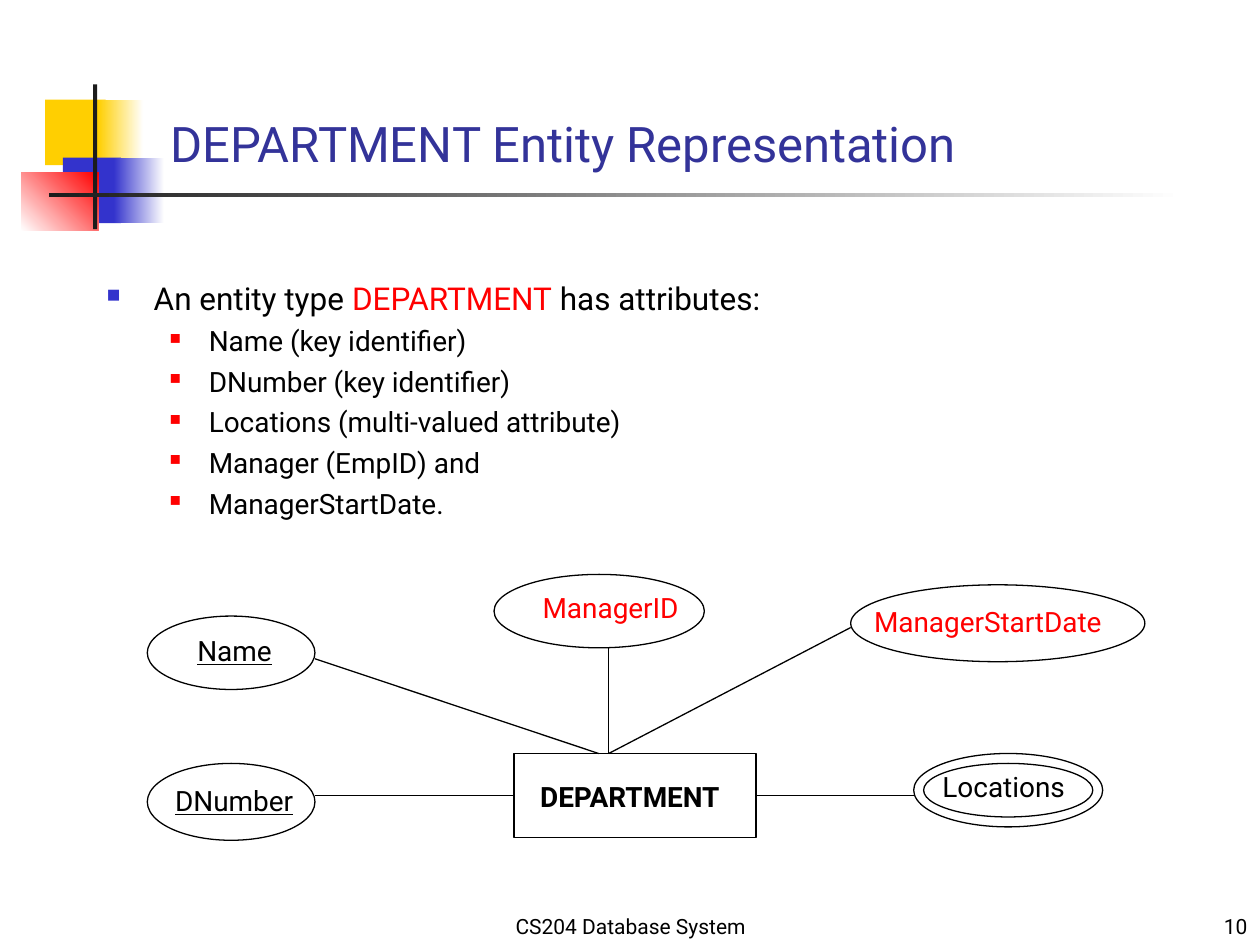
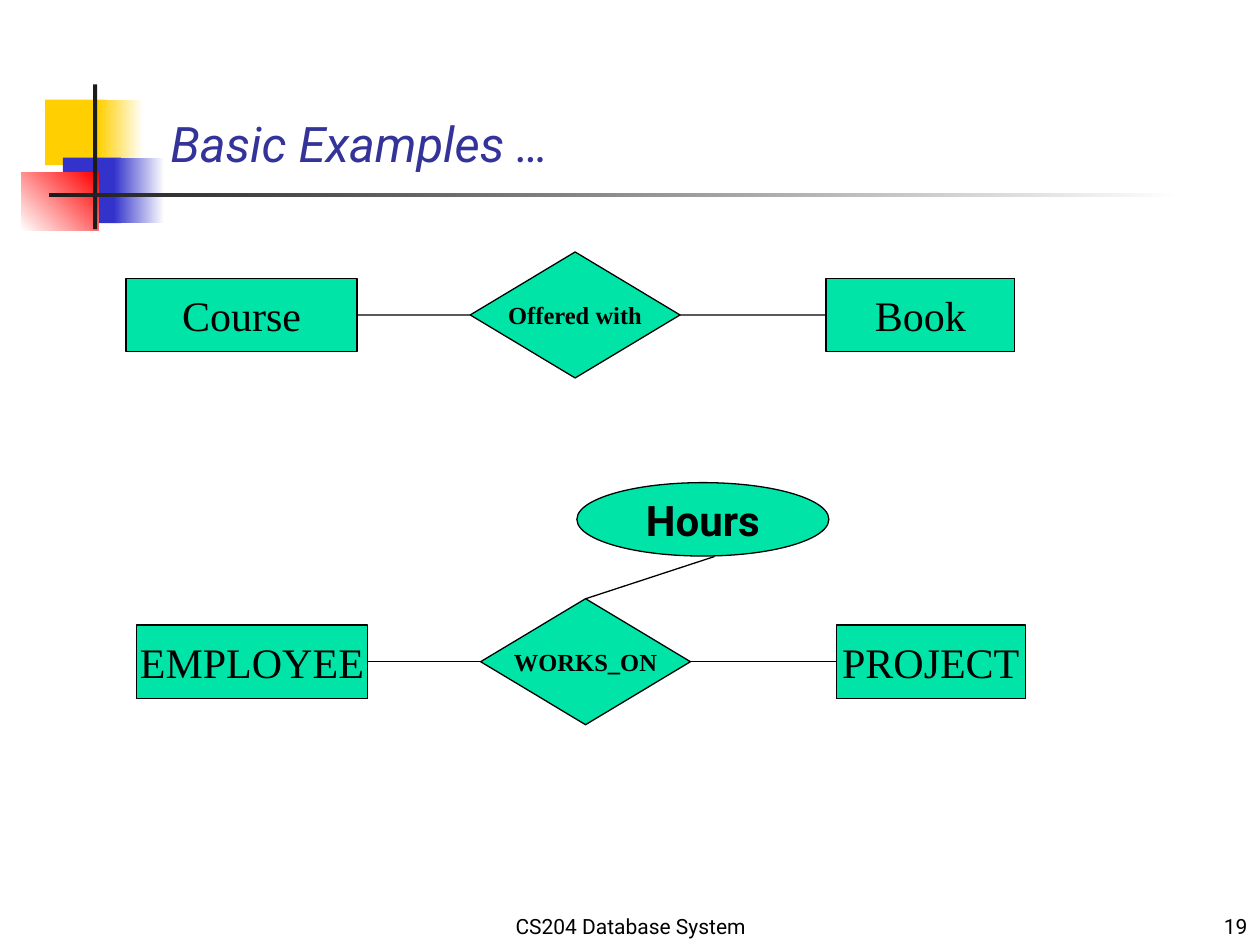
from dataclasses import dataclass

from lxml import etree
from pptx import Presentation
from pptx.dml.color import RGBColor
from pptx.enum.shapes import MSO_CONNECTOR, MSO_SHAPE
from pptx.enum.text import MSO_ANCHOR, MSO_AUTO_SIZE, PP_ALIGN
from pptx.oxml.ns import qn
from pptx.util import Cm, Pt

RECT, OVAL, DIAMOND = MSO_SHAPE.RECTANGLE, MSO_SHAPE.OVAL, MSO_SHAPE.DIAMOND
STRAIGHT = MSO_CONNECTOR.STRAIGHT
ALIGN_LEFT, ALIGN_CENTER, ALIGN_RIGHT = PP_ALIGN.LEFT, PP_ALIGN.CENTER, PP_ALIGN.RIGHT
TOP, MIDDLE, BOTTOM = MSO_ANCHOR.TOP, MSO_ANCHOR.MIDDLE, MSO_ANCHOR.BOTTOM
SIDE_TOP, SIDE_LEFT, SIDE_RIGHT = 0, 1, 3
TITLE_ONLY = 5


@dataclass(frozen=True)
class Theme:
    sans: str = "Roboto"
    serif: str = "Times New Roman"
    ink: str = "000000"
    title: str = "333399"
    accent: str = "FF0000"
    blue: str = "3333CC"
    yellow: str = "FFCF01"
    rule: str = "1C1C1C"
    paper: str = "FFFFFF"
    node: str = "00E4A8"
    title_size: int = 28
    entity_size: int = 24
    lead_size: int = 18
    text_size: int = 16
    relation_size: int = 14
    footer_size: int = 12
    line_width: float = 0.75


THEME = Theme()

# All boxes are (left, top, width, height) in centimetres.
TITLE_BOX = (3.18, 1.9, 21.64, 1.7)
FOOTER_BOX = (8.69, 17.98, 8.05, 1.07)
NUMBER_BOX = (20.12, 17.98, 5.28, 1.07)
COURSE = "CS204 Database System"

# Box, start colour, end colour (None for a plain fill), gradient angle
ORNAMENT = [
    ((0.91, 2.01, 1.22, 1.32), THEME.yellow, None, 0),
    ((1.98, 2.01, 0.91, 1.32), THEME.yellow, THEME.paper, 0),
    ((1.27, 3.18, 1.17, 1.32), THEME.blue, None, 0),
    ((2.29, 3.18, 1.02, 1.32), THEME.blue, THEME.paper, 0),
    ((0.43, 3.48, 1.55, 1.17), THEME.paper, THEME.accent, 45),
    ((1.88, 1.7, 0.08, 2.92), THEME.rule, None, 0),
    ((0.99, 3.89, 22.86, 0.08), THEME.rule, THEME.paper, 0),
]

SUMMARY_BOX = (1.9, 5.5, 22.43, 5.2)
LEAD = [("An entity type ", THEME.ink), ("DEPARTMENT", THEME.accent),
        (" has attributes:", THEME.ink)]
ATTRIBUTE_NOTES = [
    "Name (key identifier)",
    "DNumber (key identifier)",
    "Locations (multi-valued attribute)",
    "Manager (EmpID) and",
    "ManagerStartDate.",
]

DEPARTMENT_BOX = (10.36, 15.19, 4.88, 1.7)
DEPARTMENT_LABEL = (10.64, 15.6, 4.29)
LABEL_HEIGHT = 0.94
RING_GAP = 0.2

# Name, oval, label (left, top, width), colour, is key, is multi-valued
ATTRIBUTES = [
    ("Name", (2.97, 12.42, 3.38, 1.48), (3.73, 12.65, 2.08), THEME.ink, True, False),
    ("DNumber", (2.97, 15.39, 3.38, 1.55), (3.28, 15.67, 3.12), THEME.ink, True, False),
    ("ManagerID", (9.96, 11.58, 4.24, 1.48), (10.69, 11.79, 3.48), THEME.accent, False, False),
    ("ManagerStartDate", (17.15, 11.79, 5.93, 1.55), (17.37, 12.07, 5.41),
     THEME.accent, False, False),
    ("Locations", (18.42, 15.19, 3.81, 1.48), (18.75, 15.39, 3.02), THEME.ink, False, True),
]
# Start point, end point, side of the DEPARTMENT box to join
ATTRIBUTE_LINKS = [
    ((10.36, 16.04), (6.35, 16.04), SIDE_LEFT),
    ((15.24, 16.04), (18.42, 16.04), SIDE_RIGHT),
    ((12.07, 15.19), (6.35, 13.28), None),
    ((12.27, 15.19), (12.27, 13.06), None),
    ((12.27, 15.19), (17.15, 12.65), None),
]

# Left edge, middle height, and the three names across the row
RELATIONS = [
    (2.54, 6.35, ("Course", "Offered with", "Book")),
    (2.75, 13.34, ("EMPLOYEE", "WORKS_ON", "PROJECT")),
]
# Shape, offset from the row's left edge, width, height, size, bold
RELATION_PARTS = [
    (RECT, 0, 4.66, 1.48, THEME.entity_size, False),
    (DIAMOND, 6.94, 4.23, 2.54, THEME.relation_size, True),
    (RECT, 14.11, 3.81, 1.48, THEME.entity_size, False),
]
HOURS_BOX = (11.63, 9.73, 5.08, 1.48)
HOURS_LINK_END = (14.4, 11.22)


def rgb(code):
    return RGBColor.from_string(code)


def lengths(values):
    return [Cm(value) for value in values]


def add_run(paragraph, text, size, color=THEME.ink, font=THEME.sans, **style):
    run = paragraph.add_run()
    run.text = text
    run.font.size = Pt(size)
    run.font.name = font
    run.font.color.rgb = rgb(color)
    for key, value in style.items():
        setattr(run.font, key, value)


def add_text(slide, box, text, size, align=ALIGN_LEFT, anchor=TOP, wrap=True, **style):
    frame = slide.shapes.add_textbox(*lengths(box)).text_frame
    frame.word_wrap = wrap
    frame.vertical_anchor = anchor
    frame.paragraphs[0].alignment = align
    add_run(frame.paragraphs[0], text, size, **style)


def add_shape(slide, kind, box, fill=None, outlined=True):
    shape = slide.shapes.add_shape(kind, *lengths(box))
    shape.shadow.inherit = False
    if fill:
        shape.fill.solid()
        shape.fill.fore_color.rgb = rgb(fill)
    else:
        shape.fill.background()
    if outlined:
        shape.line.color.rgb = rgb(THEME.ink)
        shape.line.width = Pt(THEME.line_width)
    else:
        shape.line.fill.background()
    return shape


def add_node(slide, kind, box, text, size, **style):
    """Add a filled diagram shape with its name centred inside."""
    node = add_shape(slide, kind, box, THEME.node)
    frame = node.text_frame
    frame.word_wrap = False
    frame.vertical_anchor = MIDDLE
    frame.paragraphs[0].alignment = ALIGN_CENTER
    add_run(frame.paragraphs[0], text, size, **style)
    return node


def add_link(slide, start=(0, 0), end=(0, 0), source=None, target=None):
    """Draw a line; source and target are optional (shape, side) joints."""
    link = slide.shapes.add_connector(STRAIGHT, *lengths(start + end))
    link.line.color.rgb = rgb(THEME.ink)
    link.line.width = Pt(THEME.line_width)
    etree.SubElement(link._element.spPr, qn("a:effectLst"))
    if source:
        link.begin_connect(*source)
    if target:
        link.end_connect(*target)


def set_bullet(paragraph, color, percent, left, hanging):
    props = paragraph._p.get_or_add_pPr()
    props.set("marL", str(Cm(left)))
    props.set("indent", str(-Cm(hanging)))
    bullet_color = etree.SubElement(props, qn("a:buClr"))
    etree.SubElement(bullet_color, qn("a:srgbClr"), val=color)
    etree.SubElement(props, qn("a:buSzPct"), val=str(percent * 1000))
    etree.SubElement(props, qn("a:buChar"), char="■")


def add_ornament(slide):
    for box, start, end, angle in ORNAMENT:
        block = add_shape(slide, RECT, box, start, outlined=False)
        if end:
            block.fill.gradient()
            block.fill.gradient_angle = angle
            for stop, color in zip(block.fill.gradient_stops, (start, end)):
                stop.color.rgb = rgb(color)


def add_slide(deck, title, number, italic=False):
    slide = deck.slides.add_slide(deck.slide_layouts[TITLE_ONLY])
    add_ornament(slide)
    heading = slide.shapes.title
    heading.left, heading.top, heading.width, heading.height = lengths(TITLE_BOX)
    frame = heading.text_frame
    frame.auto_size = MSO_AUTO_SIZE.NONE
    frame.vertical_anchor = BOTTOM
    frame.paragraphs[0].alignment = ALIGN_LEFT
    add_run(frame.paragraphs[0], title, THEME.title_size, THEME.title, italic=italic)
    add_text(slide, FOOTER_BOX, COURSE, THEME.footer_size, ALIGN_CENTER, BOTTOM)
    add_text(slide, NUMBER_BOX, number, THEME.footer_size, ALIGN_RIGHT, BOTTOM)
    return slide


def add_summary(slide):
    frame = slide.shapes.add_textbox(*lengths(SUMMARY_BOX)).text_frame
    frame.word_wrap = True
    lead = frame.paragraphs[0]
    set_bullet(lead, THEME.blue, 60, 0.95, 0.95)
    for text, color in LEAD:
        add_run(lead, text, THEME.lead_size, color)
    for note in ATTRIBUTE_NOTES:
        item = frame.add_paragraph()
        item.level = 1
        set_bullet(item, THEME.accent, 55, 2.06, 0.79)
        item.space_before = Pt(4)
        add_run(item, note, THEME.text_size)


def add_label(slide, place, text, **style):
    add_text(slide, place + (LABEL_HEIGHT,), text, THEME.text_size, wrap=False, **style)


def build_department(deck):
    slide = add_slide(deck, "DEPARTMENT Entity Representation", "10")
    add_summary(slide)
    department = add_shape(slide, RECT, DEPARTMENT_BOX)
    add_label(slide, DEPARTMENT_LABEL, "DEPARTMENT", bold=True)
    for name, oval, label, color, is_key, is_multi in ATTRIBUTES:
        add_shape(slide, OVAL, oval)
        if is_multi:
            left, top, width, height = oval
            add_shape(slide, OVAL, (left + RING_GAP, top + RING_GAP,
                                    width - 2 * RING_GAP, height - 2 * RING_GAP))
        add_label(slide, label, name, color=color, underline=is_key)
    for start, end, side in ATTRIBUTE_LINKS:
        joint = None if side is None else (department, side)
        add_link(slide, start, end, source=joint)


def add_relation(slide, left, middle, names):
    """Draw entity, relationship, entity in a joined row; return the diamond."""
    nodes = []
    for name, (kind, offset, width, height, size, bold) in zip(names, RELATION_PARTS):
        box = (left + offset, middle - height / 2, width, height)
        nodes.append(add_node(slide, kind, box, name, size, font=THEME.serif, bold=bold))
    for source, target in zip(nodes, nodes[1:]):
        add_link(slide, source=(source, SIDE_RIGHT), target=(target, SIDE_LEFT))
    return nodes[1]


def build_examples(deck):
    slide = add_slide(deck, "Basic Examples …", "19", italic=True)
    diamonds = [add_relation(slide, *relation) for relation in RELATIONS]
    add_node(slide, OVAL, HOURS_BOX, "Hours", THEME.entity_size, bold=True)
    add_link(slide, end=HOURS_LINK_END, source=(diamonds[-1], SIDE_TOP))


def main():
    deck = Presentation()
    deck.slide_width, deck.slide_height = Cm(25.4), Cm(19.05)
    build_department(deck)
    build_examples(deck)
    deck.save("out.pptx")


if __name__ == "__main__":
    main()
